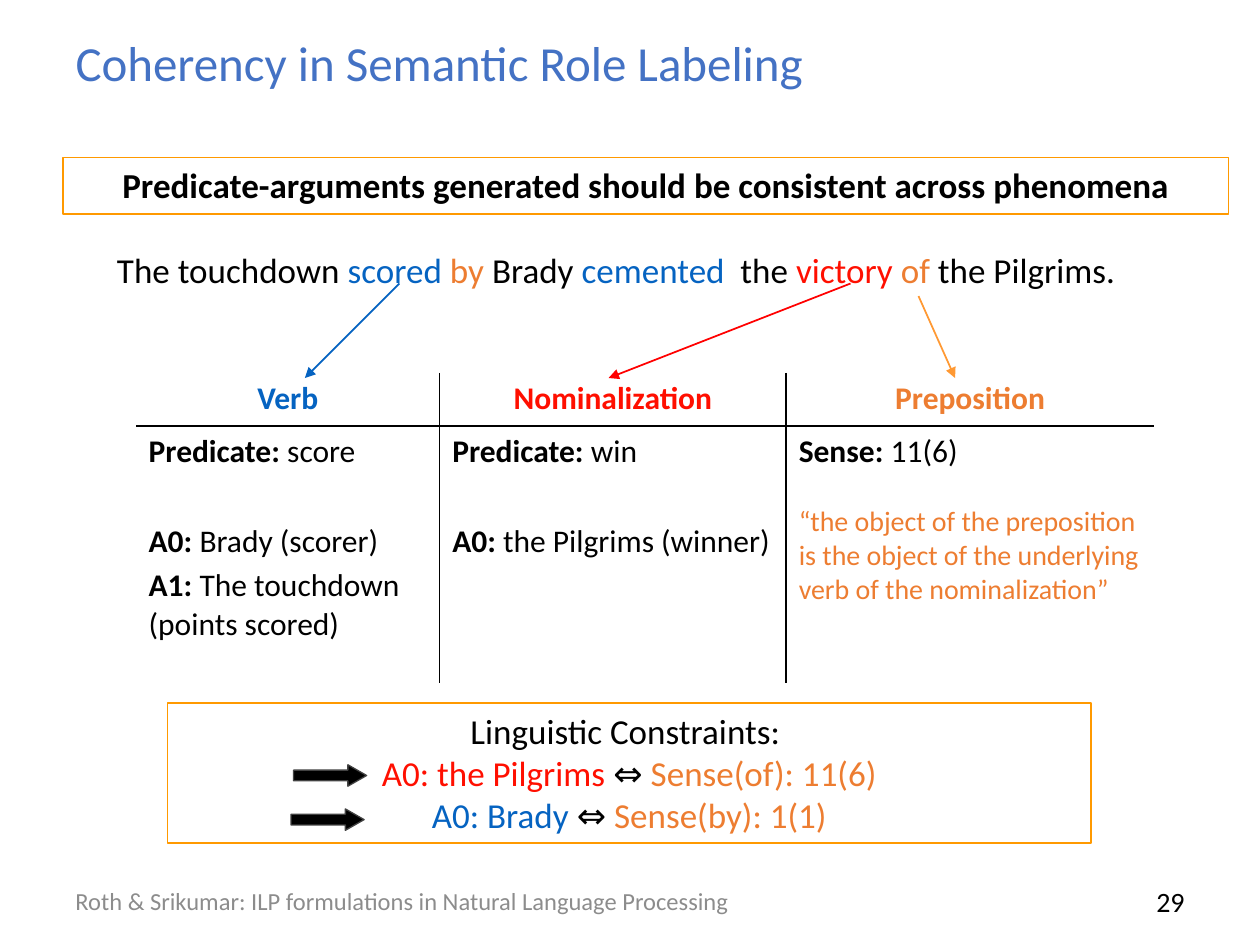
from dataclasses import dataclass
from lxml import etree
from pptx import Presentation
from pptx.dml.color import RGBColor
from pptx.enum.shapes import MSO_CONNECTOR, MSO_SHAPE
from pptx.enum.text import MSO_ANCHOR, PP_ALIGN
from pptx.oxml.ns import qn
from pptx.util import Inches, Pt

RECT, ARROW = MSO_SHAPE.RECTANGLE, MSO_SHAPE.RIGHT_ARROW
LINE = MSO_CONNECTOR.STRAIGHT
LEFT, MID, RIGHT = PP_ALIGN.LEFT, PP_ALIGN.CENTER, PP_ALIGN.RIGHT
TOP, CENTER = MSO_ANCHOR.TOP, MSO_ANCHOR.MIDDLE


@dataclass(frozen=True)
class Theme:
    font: str = "Calibri"
    title: str = "4472C4"
    ink: str = "000000"
    paper: str = "FFFFFF"
    verb: str = "0563C1"
    noun: str = "FF0F00"
    prep: str = "ED7D31"
    frame: str = "FF9900"
    red: str = "FF0000"
    amber: str = "FF9933"
    edge: str = "424242"
    gray: str = "8C8C8C"
    head: int = 28
    body: int = 20
    cell: int = 18
    note: int = 16
    foot: int = 14


T = Theme()


# The grid has 120 columns and 90 rows of square units.
def unit(n):
    return Inches(round(n / 12, 2))


def area(x, y, w, h):
    return [unit(n) for n in (x, y, w, h)]


def color(code):
    return RGBColor.from_string(code)


# Text: a run is (text, color, bold); color and bold may be left out.
def add_runs(para, runs, size, align=LEFT, gap=0):
    para.alignment = align
    para.space_before = Pt(gap)
    for text, code, bold in [(*run, T.ink, False)[:3] if len(run) == 1
                             else (*run, False)[:3] for run in runs]:
        run = para.add_run()
        run.text = text
        run.font.name = T.font
        run.font.size = Pt(size)
        run.font.bold = bold
        run.font.color.rgb = color(code)


def fill_text(frame, paras, size, align=LEFT, anchor=TOP):
    frame.word_wrap = True
    frame.vertical_anchor = anchor
    for i, runs in enumerate(paras):
        para = frame.add_paragraph() if i else frame.paragraphs[0]
        add_runs(para, runs, size, align)


def add_text(slide, place, runs, size, align=LEFT, anchor=TOP):
    box = slide.shapes.add_textbox(*area(*place))
    fill_text(box.text_frame, [runs], size, align, anchor)


def add_form(slide, kind, place, fill, edge, width):
    form = slide.shapes.add_shape(kind, *area(*place))
    form.shadow.inherit = False
    form.fill.solid()
    form.fill.fore_color.rgb = color(fill)
    form.line.color.rgb = color(edge)
    form.line.width = Pt(width)
    return form


def add_box(slide, place, paras):
    box = add_form(slide, RECT, place, T.paper, T.frame, 1)
    fill_text(box.text_frame, paras, T.body, MID)


def add_block(slide, x, y):
    block = add_form(slide, ARROW, (x, y, 7, 2), T.ink, T.edge, 0.75)
    block.adjustments[0] = 0.5
    block.adjustments[1] = 0.875


def add_link(slide, start, end, code):
    link = slide.shapes.add_connector(LINE, *[unit(n) for n in start + end])
    link.line.color.rgb = color(code)
    link.line.width = Pt(1)
    props = link._element.spPr
    etree.SubElement(props.find(qn("a:ln")), qn("a:tailEnd"), type="triangle")
    etree.SubElement(props, qn("a:effectLst"))


# Table
def set_edges(cell, shown):
    props = cell._tc.get_or_add_tcPr()
    for side in "LRTB":
        line = etree.SubElement(props, qn("a:ln" + side), w=str(Pt(1)))
        if side in shown:
            fill = etree.SubElement(line, qn("a:solidFill"))
            etree.SubElement(fill, qn("a:srgbClr"), val=T.ink)
        else:
            etree.SubElement(line, qn("a:noFill"))
    cell.fill.background()


def add_table(slide, heads, cols):
    rows, count = 2, len(heads)
    table = slide.shapes.add_table(rows, count, *area(13, 35.5, 97, 29.5)).table
    table.first_row = table.horz_banding = False
    for col, width in zip(table.columns, (2.41, 2.75, 2.92)):
        col.width = Inches(width)
    for row, height in zip(table.rows, (0.42, 2.04)):
        row.height = Inches(height)
    for c in range(count):
        sides = "L" * (c > 0) + "R" * (c < count - 1)
        top, low = table.cell(0, c), table.cell(1, c)
        set_edges(top, sides + "B")
        set_edges(low, sides + "T")
        text, code = heads[c]
        add_runs(top.text_frame.paragraphs[0], [(text, code, True)], T.cell, MID)
        for i, (runs, size, gap) in enumerate(cols[c]):
            frame = low.text_frame
            para = frame.add_paragraph() if i else frame.paragraphs[0]
            add_runs(para, runs, size, gap=gap)


def pair(label, value):
    return [(label + ": ", T.ink, True), (value,)]


def main():
    deck = Presentation()
    deck.slide_width, deck.slide_height = Inches(10), Inches(7.5)
    slide = deck.slides.add_slide(deck.slide_layouts[5])

    # Title and main claim
    title = slide.shapes.title
    title.left, title.top, title.width, title.height = area(6, 1.8, 108, 8.2)
    fill_text(title.text_frame, [[("Coherency in Semantic Role Labeling", T.title)]],
              T.head, LEFT, CENTER)
    claim = "Predicate-arguments generated should be consistent across phenomena"
    add_box(slide, (6, 15, 111, 5.4), [[(claim, T.ink, True)]])

    # Example sentence
    add_text(slide, (10, 23, 101, 5.2), [
        ("The touchdown ",), ("scored ", T.verb), ("by ", T.prep), ("Brady ",),
        ("cemented", T.verb), ("  the ",), ("victory ", T.noun),
        ("of", T.prep), (" the Pilgrims.",)], T.body)

    # Analysis by phenomenon
    skip, step = 29.5, 3.6
    quote = ("“the object of the preposition is the object of the underlying "
             "verb of the nominalization”")
    add_table(slide,
              [("Verb", T.verb), ("Nominalization", T.noun), ("Preposition", T.prep)],
              [[(pair("Predicate", "score"), T.cell, 0),
                (pair("A0", "Brady (scorer)"), T.cell, skip),
                (pair("A1", "The touchdown (points scored)"), T.cell, step)],
               [(pair("Predicate", "win"), T.cell, 0),
                (pair("A0", "the Pilgrims (winner)"), T.cell, skip)],
               [(pair("Sense", "11(6)"), T.cell, 0),
                ([(quote, T.prep)], T.note, 19.5)]])
    for start, end, code in [((38, 27), (29, 36), T.verb),
                             ((81, 27), (58, 36), T.red),
                             ((87.5, 28.2), (91, 36), T.amber)]:
        add_link(slide, start, end, code)

    # Constraints
    add_box(slide, (16, 67, 88, 13.3), [
        [("Linguistic Constraints: ",)],
        [("A0: the Pilgrims ", T.noun), ("⇔ ",), ("Sense(of): 11(6)", T.prep)],
        [("A0: Brady ", T.verb), ("⇔ ",), ("Sense(by): 1(1)", T.prep)]])
    add_block(slide, 28, 72.8)
    add_block(slide, 27.7, 77)

    # Footer
    source = "Roth & Srikumar: ILP formulations in Natural Language Processing"
    add_text(slide, (6, 83.4, 73, 4.8), [(source, T.gray)], T.foot, anchor=CENTER)
    add_text(slide, (86, 83.4, 28, 4.8), [("29",)], T.note, RIGHT, CENTER)

    deck.save("out.pptx")


if __name__ == "__main__":
    main()
